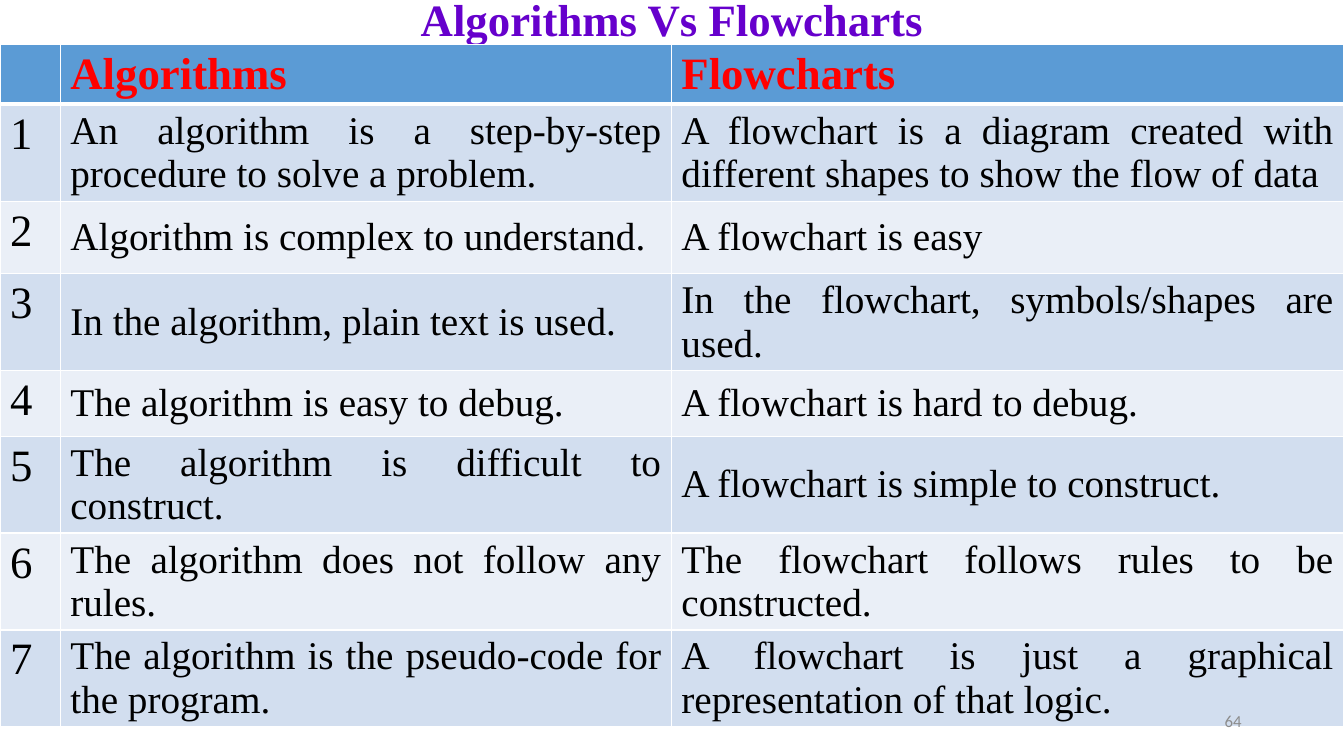
import pptx
import pptx.util
import pptx.dml.color
import pptx.enum.text
import pptx.oxml
from pptx.oxml.ns import nsdecls

Cm = pptx.util.Cm
ALIGN = pptx.enum.text.PP_ALIGN
ANCHOR = pptx.enum.text.MSO_ANCHOR

THEME = {
    "header_fill": "5B9BD5",
    "band_fills": ("EAEFF7", "D2DEEF"),
    "border": "FFFFFF",
    "title": {"name": "Times New Roman", "size": 32, "bold": True, "color": "6600CC"},
    "header": {"name": "Times New Roman", "size": 32, "bold": True, "color": "FF0000"},
    "number": {"name": "Times New Roman", "size": 32, "bold": False, "color": "000000"},
    "body": {"name": "Times New Roman", "size": 28, "bold": False, "color": "000000"},
    "page": {"name": "Calibri", "size": 12, "bold": False, "color": "8C8C8C"},
}

COMPARISON = [
    ("", "Algorithms", "Flowcharts"),
    ("1", "An algorithm is a step-by-step procedure to solve a problem.",
     "A flowchart is a diagram created with different shapes to show the flow of data"),
    ("2", "Algorithm is complex to understand.", "A flowchart is easy"),
    ("3", "In the algorithm, plain text is used.", "In the flowchart, symbols/shapes are used."),
    ("4", "The algorithm is easy to debug.", "A flowchart is hard to debug."),
    ("5", "The algorithm is difficult to construct.", "A flowchart is simple to construct."),
    ("6", "The algorithm does not follow any rules.",
     "The flowchart follows rules to be constructed."),
    ("7", "The algorithm is the pseudo-code for the program.",
     "A flowchart is just a graphical representation of that logic."),
]
COLUMN_WIDTHS = (1.52, 15.4, 16.94)
ROW_HEIGHTS = (1.12, 1.83, 1.83, 1.65, 1.65, 1.65, 1.83, 1.83)


def write_text(text_frame, text, style, alignment):
    paragraph = text_frame.paragraphs[0]
    paragraph.alignment = alignment
    run = paragraph.add_run()
    run.text = text
    run.font.color.rgb = pptx.dml.color.RGBColor.from_string(THEME[style]["color"])
    values = {**THEME[style], "size": pptx.util.Pt(THEME[style]["size"])}
    for name in ("name", "size", "bold"):
        setattr(run.font, name, values[name])
    return paragraph


def paint_cell(cell, fill_color, bottom_width):
    # Borders come before the fill in the cell properties
    properties = cell._tc.get_or_add_tcPr()
    for side, width in (("L", 1), ("R", 1), ("T", 1), ("B", bottom_width)):
        properties.append(pptx.oxml.parse_xml(
            f'<a:ln{side} {nsdecls("a")} w="{pptx.util.Pt(width)}"><a:solidFill>'
            f'<a:srgbClr val="{THEME["border"]}"/></a:solidFill></a:ln{side}>'))
    cell.fill.solid()
    cell.fill.fore_color.rgb = pptx.dml.color.RGBColor.from_string(fill_color)


presentation = pptx.Presentation()
presentation.slide_width = Cm(33.87)
presentation.slide_height = Cm(19.05)
slide = presentation.slides.add_slide(presentation.slide_layouts[5])

# Title
title = slide.shapes.title
for name, value in {"left": 2.33, "top": 0, "width": 29.21, "height": 1.12}.items():
    setattr(title, name, Cm(value))
title_format = {"margin_top": 0, "margin_bottom": 0, "vertical_anchor": ANCHOR.MIDDLE,
                "auto_size": pptx.enum.text.MSO_AUTO_SIZE.NONE, "word_wrap": True}
for name, value in title_format.items():
    setattr(title.text_frame, name, value)
heading = write_text(title.text_frame, "Algorithms Vs Flowcharts", "title", ALIGN.CENTER)
heading.line_spacing = 0.9

# Comparison table
frame = slide.shapes.add_table(len(COMPARISON), len(COLUMN_WIDTHS),
                               Cm(0), Cm(1.12), Cm(33.87), Cm(18.21))
table = frame.table
for column, width in zip(table.columns, COLUMN_WIDTHS):
    column.width = Cm(width)
for row, height in zip(table.rows, ROW_HEIGHTS):
    row.height = Cm(height)

for row_index, texts in enumerate(COMPARISON):
    is_header = row_index == 0
    fill_color = THEME["header_fill"] if is_header else THEME["band_fills"][row_index % 2]
    for column_index, text in enumerate(texts):
        cell = table.cell(row_index, column_index)
        paint_cell(cell, fill_color, 3 if is_header else 1)
        style = "header" if is_header else "body" if column_index else "number"
        cell.vertical_anchor = ANCHOR.MIDDLE if style == "body" else ANCHOR.TOP
        if text:
            write_text(cell.text_frame, text, style, ALIGN.JUSTIFY)

# Page number
page_box = slide.shapes.add_textbox(Cm(23.92), Cm(17.66), Cm(7.62), Cm(1.01))
page_box.text_frame.word_wrap = True
page_box.text_frame.vertical_anchor = ANCHOR.MIDDLE
write_text(page_box.text_frame, "64", "page", ALIGN.RIGHT)

presentation.save("out.pptx")
